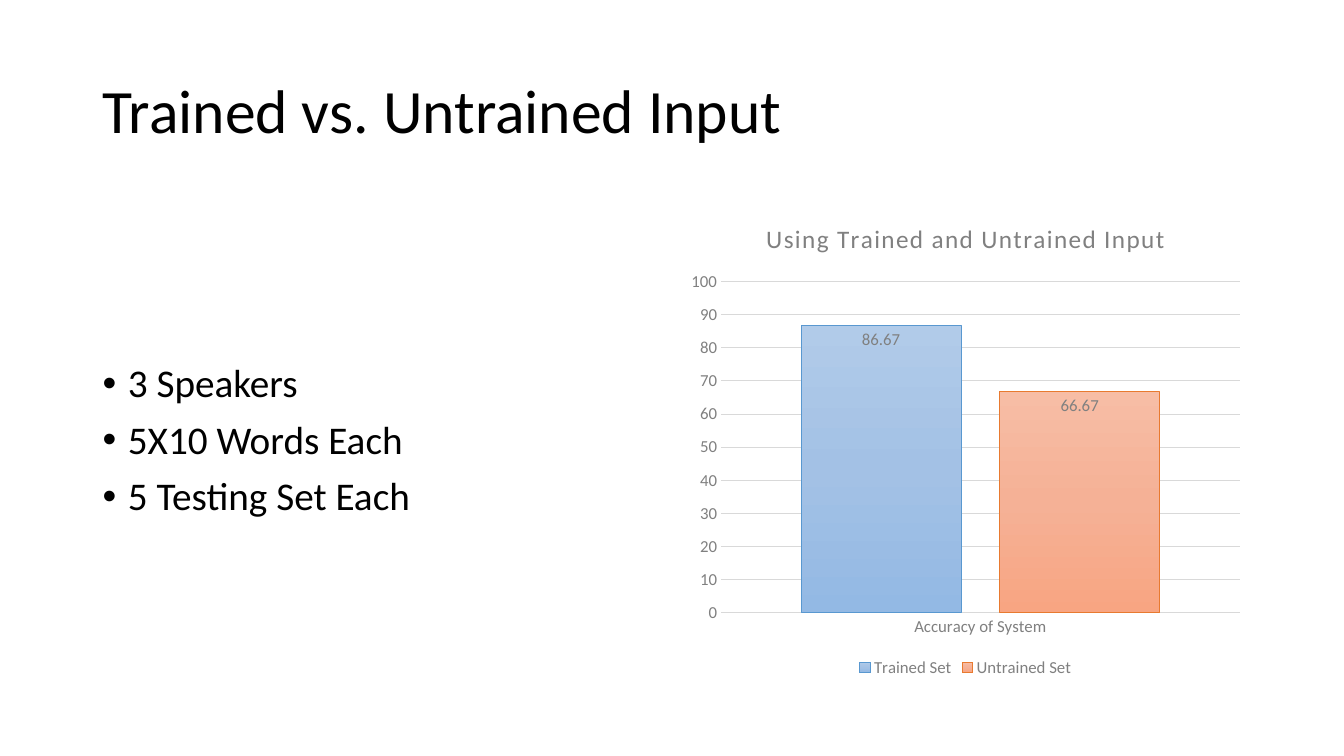
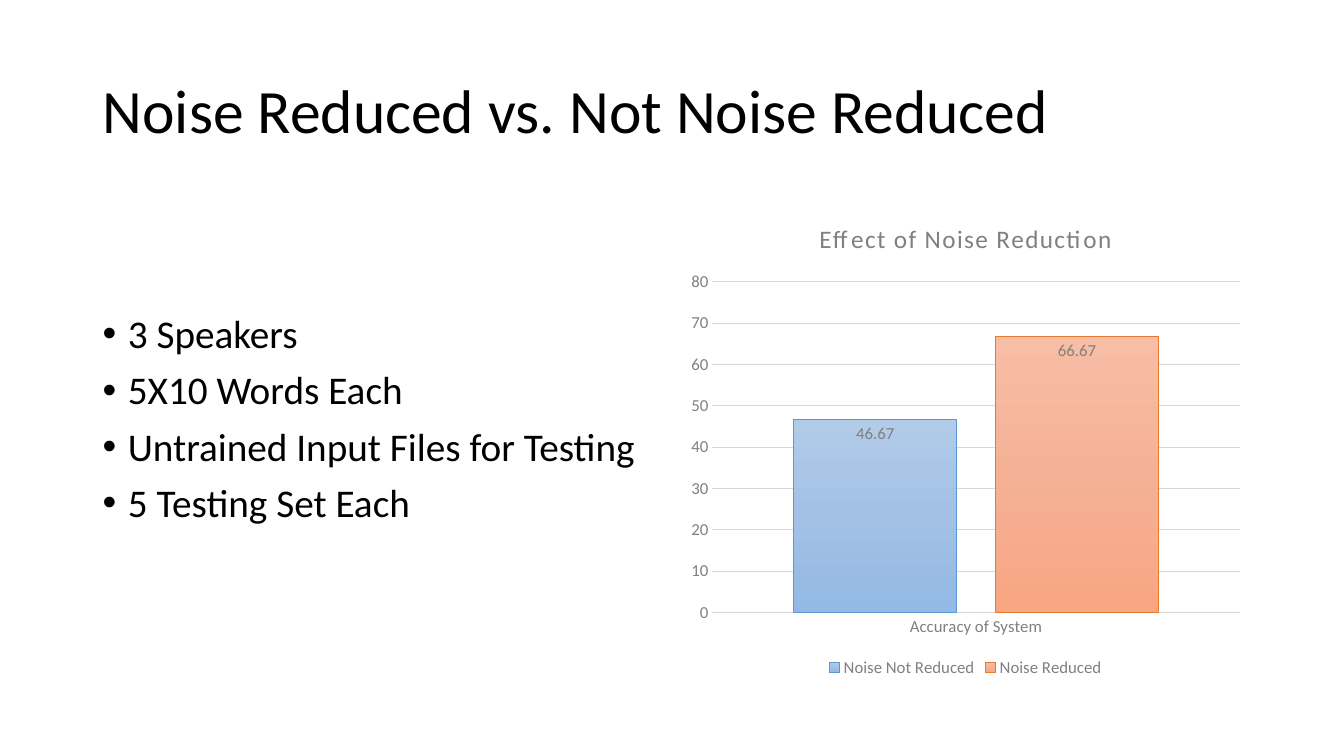
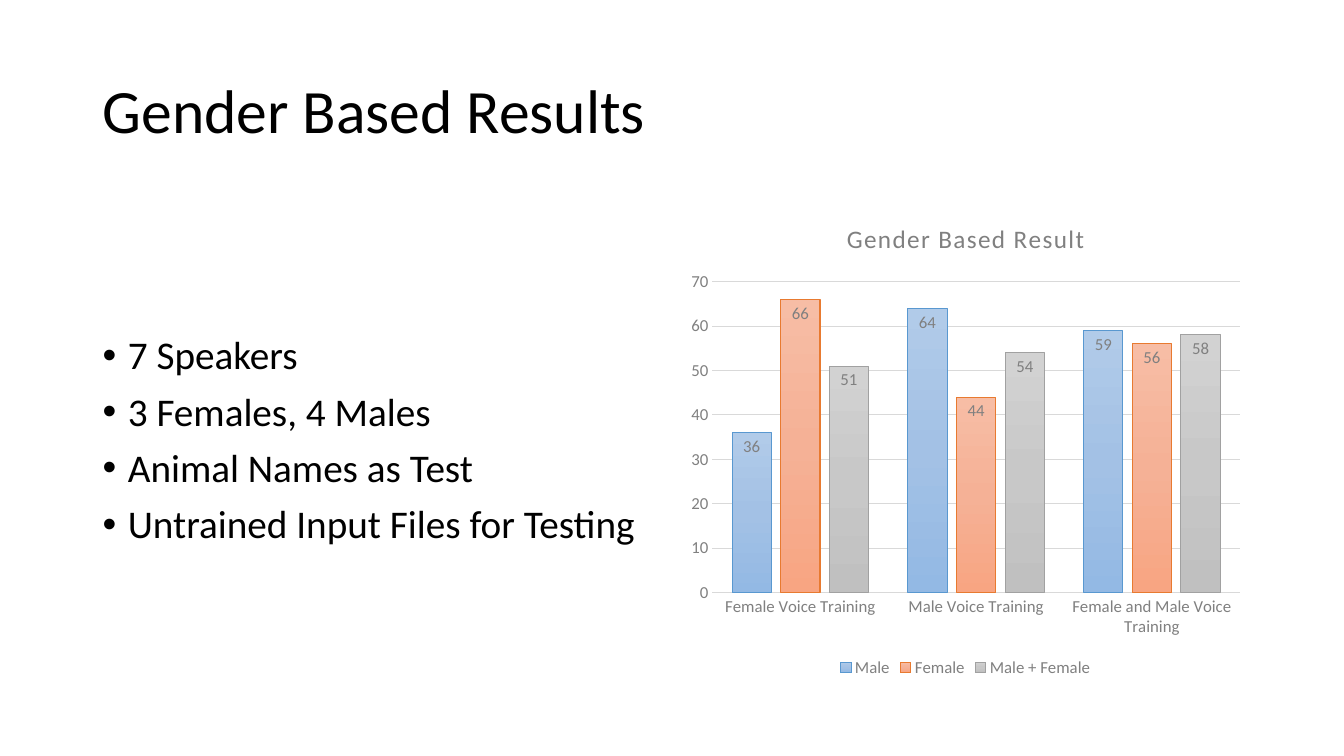
from dataclasses import dataclass

from lxml.etree import SubElement
from pptx import Presentation
from pptx.chart.data import CategoryChartData
from pptx.dml.color import RGBColor
from pptx.enum.chart import XL_CHART_TYPE as ChartType
from pptx.enum.chart import XL_LABEL_POSITION as LabelPosition
from pptx.enum.chart import XL_LEGEND_POSITION as LegendPosition
from pptx.enum.chart import XL_TICK_MARK as TickMark
from pptx.enum.text import MSO_ANCHOR as Anchor
from pptx.oxml.ns import qn
from pptx.util import Inches, Pt


@dataclass(frozen=True)
class Theme:
    font: str = "Calibri"
    ink: str = "000000"
    muted: str = "808080"
    grid: str = "D9D9D9"
    title_size: int = 44
    bullet_size: int = 28
    chart_title_size: int = 18
    chart_size: int = 12
    # Per series: three gradient stops from top to bottom, then the outline
    series: tuple = (
        (("B1CBE9", "A3C1E5", "93B9E4"), "5998D0"),
        (("F7BDA5", "F5B196", "F8A582"), "E87A30"),
        (("D2D2D2", "C8C8C8", "C0C0C0"), "A1A1A1"),
    )


THEME = Theme()
WIDTH, HEIGHT = 13.33, 7.5

# Regions in inches: left, top, width, height
MARGIN, GUTTER = 0.92, 0.16
CONTENT = WIDTH - 2 * MARGIN
COLUMN = (CONTENT - GUTTER) / 2
TITLE_BOX = (MARGIN, 0.4, CONTENT, 1.45)
BULLETS_BOX = (MARGIN, 2, COLUMN, 4.76)
CHART_BOX = (MARGIN + COLUMN + GUTTER, 2, COLUMN, 4.76)


def style_font(font, size, color):
    font.name, font.size, font.bold = THEME.font, Pt(size), False
    font.color.rgb = RGBColor.from_string(color)


def style_line(line, color):
    line.color.rgb = RGBColor.from_string(color)
    line.width = Pt(0.75)


def add_text(slide, box, lines, size):
    frame = slide.shapes.add_textbox(*map(Inches, box)).text_frame
    frame.word_wrap = True
    frame.vertical_anchor = Anchor.MIDDLE
    for index, line in enumerate(lines):
        paragraph = frame.paragraphs[0] if index == 0 else frame.add_paragraph()
        paragraph.line_spacing = 0.9
        run = paragraph.add_run()
        run.text = line
        style_font(run.font, size, THEME.ink)
    return frame


def add_bullets(slide, box, points, lift):
    frame = add_text(slide, box, points, THEME.bullet_size)
    frame.margin_bottom = Inches(0.05 + 2 * lift)
    for paragraph in frame.paragraphs:
        paragraph.space_before = Pt(10)
        properties = paragraph._p.get_or_add_pPr()
        properties.set("marL", str(Inches(0.25)))
        properties.set("indent", str(-Inches(0.25)))
        SubElement(properties, qn("a:buFont")).set("typeface", "Arial")
        SubElement(properties, qn("a:buChar")).set("char", "•")


def fill_gradient(series, colors):
    properties = series._element.get_or_add_spPr()
    gradient = SubElement(properties, qn("a:gradFill"), rotWithShape="1")
    stops = SubElement(gradient, qn("a:gsLst"))
    for index, color in enumerate(colors):
        stop = SubElement(stops, qn("a:gs"), pos=str(index * 50000))
        SubElement(stop, qn("a:srgbClr"), val=color)
    SubElement(gradient, qn("a:lin"), ang="5400000", scaled="0")
    properties.insert(0, gradient)


def style_axes(chart, top):
    for axis in (chart.category_axis, chart.value_axis):
        axis.major_tick_mark = axis.minor_tick_mark = TickMark.NONE
        style_font(axis.tick_labels.font, THEME.chart_size, THEME.muted)
    style_line(chart.category_axis.format.line, THEME.grid)
    values = chart.value_axis
    values.minimum_scale, values.maximum_scale, values.major_unit = 0, top, 10
    values.format.line.fill.background()
    style_line(values.major_gridlines.format.line, THEME.grid)


def add_results(slide, box, heading, categories, results, top):
    data = CategoryChartData()
    data.categories = categories
    for name, accuracies in results.items():
        data.add_series(name, accuracies)
    chart = slide.shapes.add_chart(
        ChartType.COLUMN_CLUSTERED, *map(Inches, box), data).chart
    style_font(chart.font, THEME.chart_size, THEME.muted)

    # Heading and legend
    run = chart.chart_title.text_frame.paragraphs[0].add_run()
    run.text = heading
    style_font(run.font, THEME.chart_title_size, THEME.muted)
    run.font._element.set("spc", "100")
    chart.chart_title.include_in_layout = False
    chart.has_legend = True
    chart.legend.position = LegendPosition.BOTTOM
    chart.legend.include_in_layout = False
    style_font(chart.legend.font, THEME.chart_size, THEME.muted)

    style_axes(chart, top)

    # Columns and their values
    plot = chart.plots[0]
    plot.gap_width, plot.overlap = 100, -24
    plot.vary_by_categories = False
    for series, (colors, outline) in zip(plot.series, THEME.series):
        style_line(series.format.line, outline)
        fill_gradient(series, colors)
        labels = series.data_labels
        labels.show_value = True
        labels.position = LabelPosition.INSIDE_END
        style_font(labels.font, THEME.chart_size, THEME.muted)


def add_result_slide(deck, title, points, heading, categories, results, top,
                     lift=0):
    slide = deck.slides.add_slide(deck.slide_layouts[6])
    add_text(slide, TITLE_BOX, [title], THEME.title_size)
    add_bullets(slide, BULLETS_BOX, points, lift)
    add_results(slide, CHART_BOX, heading, categories, results, top)


deck = Presentation()
deck.slide_width, deck.slide_height = Inches(WIDTH), Inches(HEIGHT)

add_result_slide(
    deck, "Trained vs. Untrained Input",
    ["3 Speakers", "5X10 Words Each", "5 Testing Set Each"],
    "Using Trained and Untrained Input", ["Accuracy of System"],
    {"Trained Set": [86.67], "Untrained Set": [66.67]}, top=100)

add_result_slide(
    deck, "Noise Reduced vs. Not Noise Reduced",
    ["3 Speakers", "5X10 Words Each", "Untrained Input Files for Testing",
     "5 Testing Set Each"],
    "Effect of Noise Reduction", ["Accuracy of System"],
    {"Noise Not Reduced": [46.67], "Noise Reduced": [66.67]}, top=80,
    lift=0.21)

add_result_slide(
    deck, "Gender Based Results",
    ["7 Speakers", "3 Females, 4 Males", "Animal Names as Test",
     "Untrained Input Files for Testing"],
    "Gender Based Result",
    ["Female Voice Training", "Male Voice Training",
     "Female and Male Voice Training"],
    {"Male": [36, 64, 59], "Female": [66, 44, 56],
     "Male + Female": [51, 54, 58]}, top=70)

deck.save("out.pptx")
